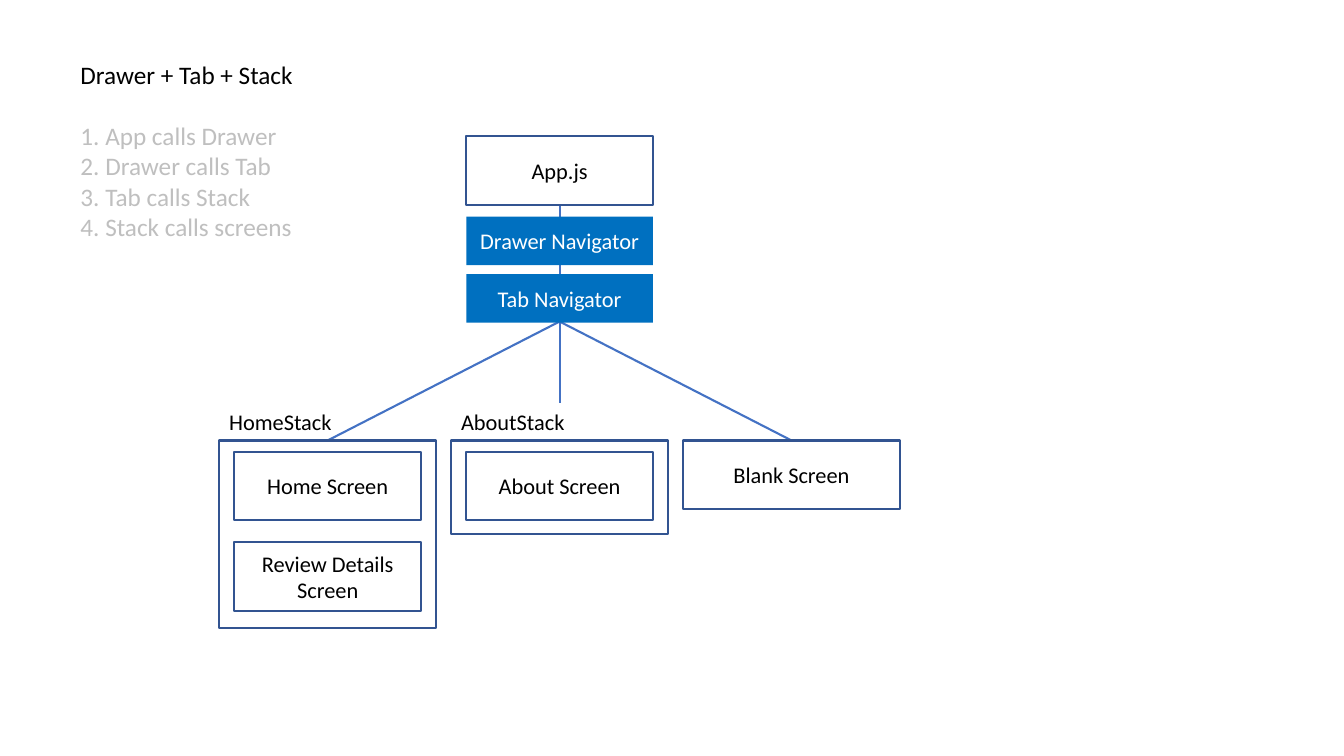
from lxml.etree import SubElement
from pptx import Presentation
from pptx.dml.color import RGBColor
from pptx.enum.shapes import MSO_CONNECTOR as Connector, MSO_SHAPE as Preset
from pptx.enum.text import MSO_ANCHOR as Anchor, PP_ALIGN as Align
from pptx.oxml.ns import qn
from pptx.util import Inches, Pt

BLACK, WHITE, GREY = "000000", "FFFFFF", "BFBFBF"
OUTLINE, NAVIGATOR, LINK = "325491", "0070C0", "4472C4"
CENTER_X = 5.55
STACK_PITCH = 2.3
STACK_TOP = 4.37
STACK_WIDTH = 2.15
SCREEN_WIDTH, SCREEN_HEIGHT = 1.85, 0.68


def color(value):
    return RGBColor.from_string(value)


def write(paragraph, text, size=16, ink=BLACK, align=Align.LEFT, before=0):
    paragraph.alignment = align
    paragraph.space_before = Pt(before)
    run = paragraph.add_run()
    run.text = text
    run.font.name = "Calibri"
    run.font.size = Pt(size)
    run.font.color.rgb = color(ink)


def add_box(slide, center_x, top, width, height, text="", fill=WHITE, outline=OUTLINE, ink=BLACK):
    box = slide.shapes.add_shape(
        Preset.RECTANGLE, Inches(center_x - width / 2), Inches(top), Inches(width), Inches(height))
    box.shadow.inherit = False
    box.fill.solid()
    box.fill.fore_color.rgb = color(fill)
    if outline:
        box.line.color.rgb = color(outline)
        box.line.width = Pt(1.5)
    else:
        box.line.fill.background()
    if text:
        frame = box.text_frame
        frame.word_wrap = True
        frame.vertical_anchor = Anchor.MIDDLE
        write(frame.paragraphs[0], text, ink=ink, align=Align.CENTER)


def add_screen(slide, center_x, top, text, width=SCREEN_WIDTH):
    add_box(slide, center_x, top, width, SCREEN_HEIGHT, text)


def add_navigator(slide, top, text):
    add_box(slide, CENTER_X, top, SCREEN_WIDTH, 0.48, text, NAVIGATOR, None, WHITE)


def add_label(slide, left, top, width, height):
    frame = slide.shapes.add_textbox(
        Inches(left), Inches(top), Inches(width), Inches(height)).text_frame
    frame.word_wrap = False
    return frame


def add_stack(slide, center_x, title, screens, height):
    add_box(slide, center_x, STACK_TOP, STACK_WIDTH, height)
    label = add_label(slide, center_x - STACK_WIDTH / 2, 4, 1.23, 0.37)
    write(label.paragraphs[0], title)
    for row, screen in enumerate(screens):
        add_screen(slide, center_x, 4.48 + 0.9 * row, screen)


def add_link(slide, start, end):
    link = slide.shapes.add_connector(
        Connector.STRAIGHT, *(Inches(value) for value in start + end))
    link.line.color.rgb = color(LINK)
    link.line.width = Pt(1.5)
    SubElement(link._element.spPr, qn("a:effectLst"))


def add_summary(slide, title, steps):
    summary = add_label(slide, 0.7, 0.54, 2.33, 1.92)
    write(summary.paragraphs[0], title, size=18)
    for number, step in enumerate(steps, 1):
        write(summary.add_paragraph(), f"{number}. {step}", size=18, ink=GREY,
              before=22 if number == 1 else 0)


def main():
    deck = Presentation()
    deck.slide_width, deck.slide_height = Inches(13.33), Inches(7.5)
    slide = deck.slides.add_slide(deck.slide_layouts[6])
    home_x, blank_x = CENTER_X - STACK_PITCH, CENTER_X + STACK_PITCH
    tab_bottom = (CENTER_X, 3.19)

    add_link(slide, (CENTER_X, 2.04), (CENTER_X, 2.72))
    for target in ((home_x, STACK_TOP), (CENTER_X, 4), (blank_x, STACK_TOP)):
        add_link(slide, tab_bottom, target)

    add_screen(slide, CENTER_X, 1.35, "App.js")
    add_navigator(slide, 2.15, "Drawer Navigator")
    add_navigator(slide, 2.72, "Tab Navigator")
    add_stack(slide, home_x, "HomeStack", ["Home Screen", "Review Details Screen"], 1.86)
    add_stack(slide, CENTER_X, "AboutStack", ["About Screen"], 0.93)
    add_screen(slide, blank_x, STACK_TOP, "Blank Screen", STACK_WIDTH)
    add_summary(slide, "Drawer + Tab + Stack", [
        "App calls Drawer", "Drawer calls Tab", "Tab calls Stack", "Stack calls screens"])
    deck.save("out.pptx")


if __name__ == "__main__":
    main()
